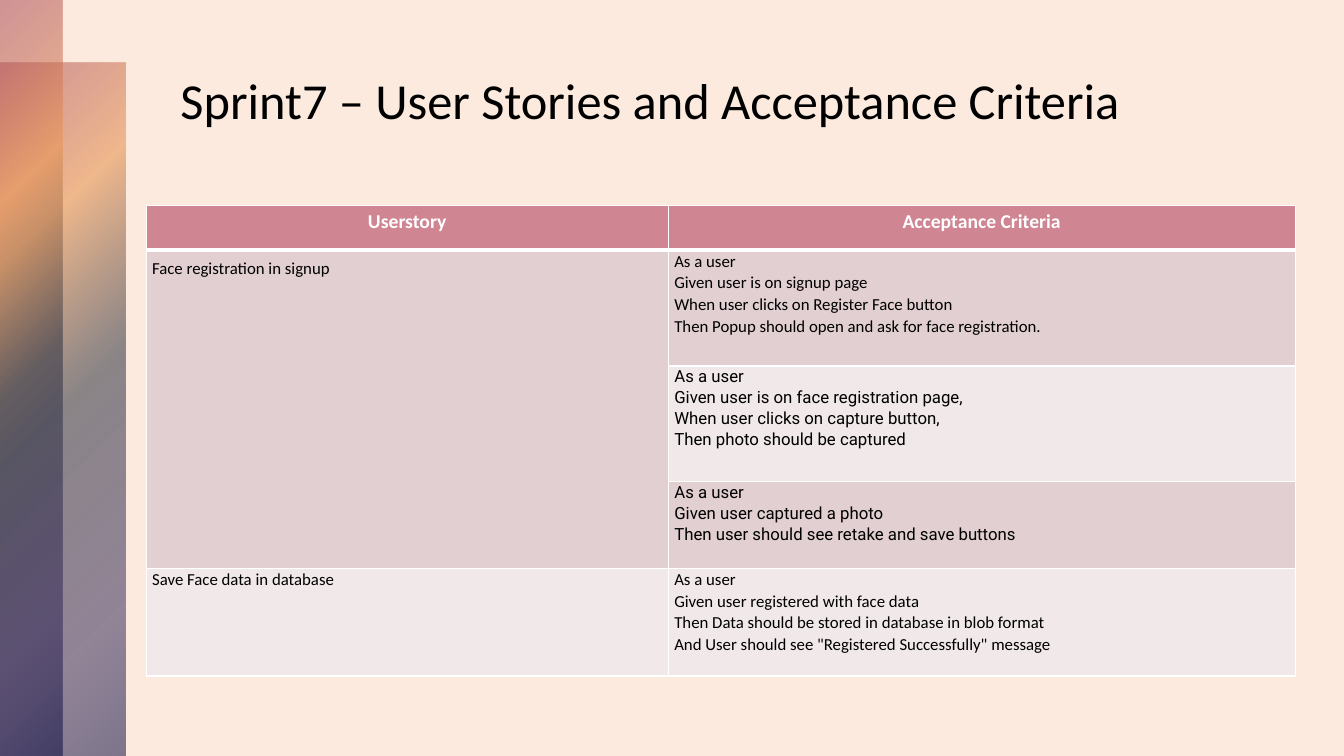
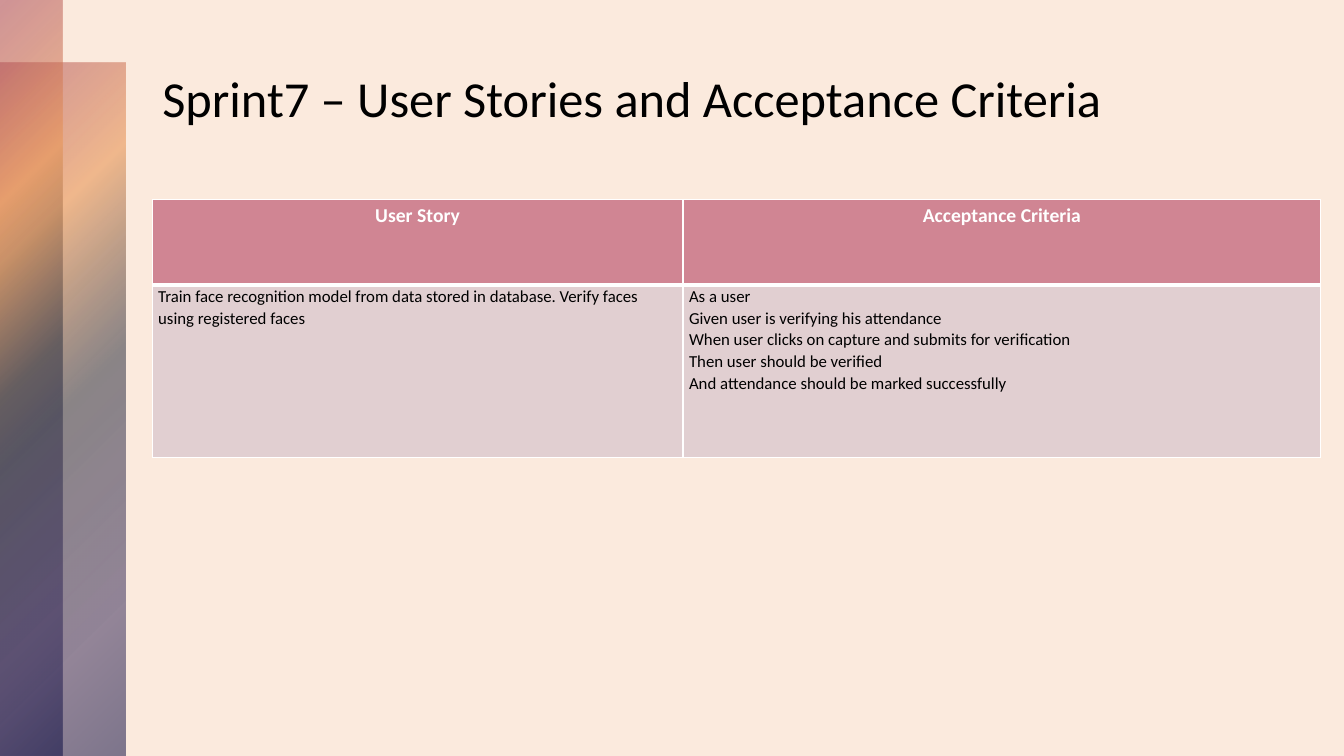
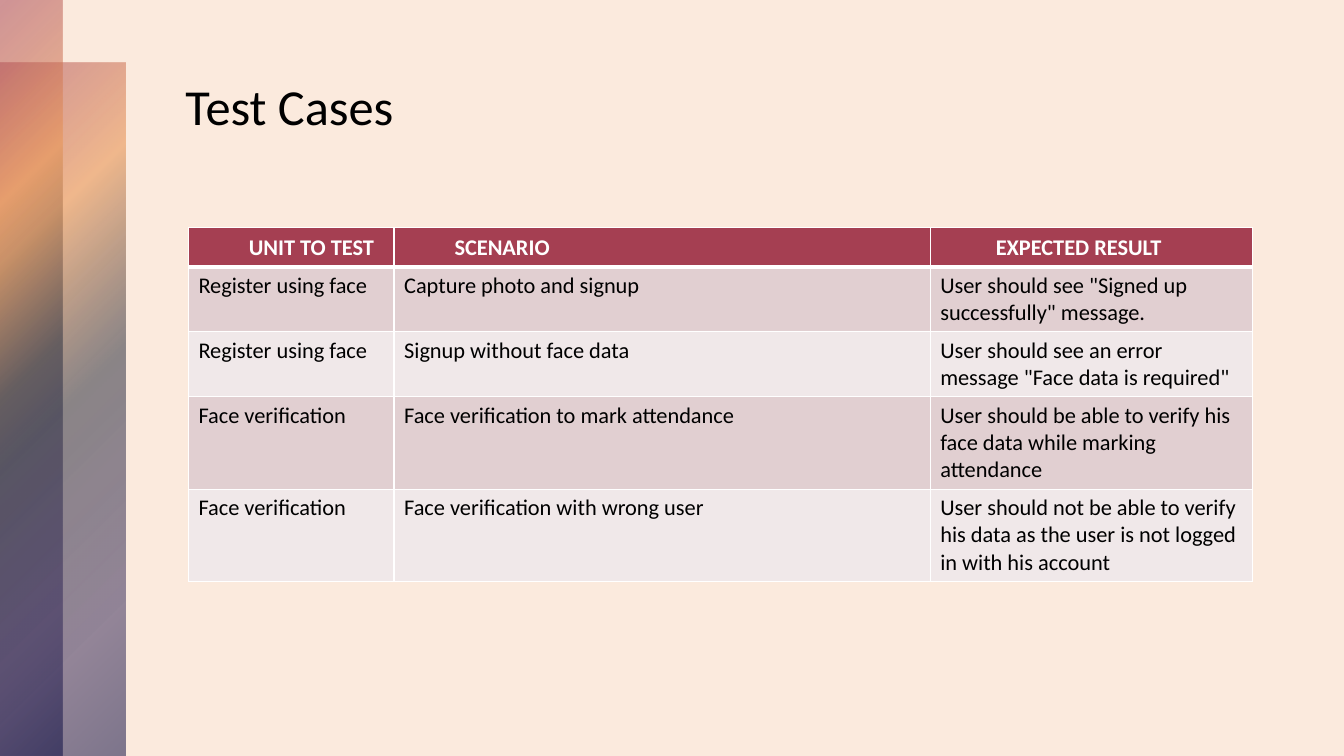
from pptx import Presentation
from pptx.dml.color import RGBColor
from pptx.enum.shapes import MSO_SHAPE as Preset
from pptx.enum.text import MSO_ANCHOR as Anchor, MSO_AUTO_SIZE as AutoSize, PP_ALIGN as Align
from pptx.oxml import parse_xml
from pptx.oxml.ns import nsdecls, qn
from pptx.util import Pt

PEACH = RGBColor(0xFB, 0xEA, 0xDD)
WINE = RGBColor(0xA5, 0x3F, 0x52)
ORANGE = RGBColor(0xE9, 0x97, 0x57)
SLATE = RGBColor(0x2F, 0x33, 0x42)
PURPLE = RGBColor(0x2C, 0x21, 0x53)
NAVY = RGBColor(0x01, 0x02, 0x3B)
ROSE = RGBColor(0xD0, 0x85, 0x93)
DARK_ROW = RGBColor(0xE1, 0xCF, 0xD1)
LIGHT_ROW = RGBColor(0xF0, 0xE8, 0xE9)
WHITE = RGBColor(0xFF, 0xFF, 0xFF)
BLACK = RGBColor(0x00, 0x00, 0x00)

STORY_HEADER = {"size": 14, "bold": True, "color": WHITE, "fill": ROSE,
                "margins": (5.8, 2.9), "paragraph": {"alignment": Align.CENTER}}
STORY_BODY = {"size": 12, "bold": False, "color": BLACK,
              "margins": (4.3, 0), "paragraph": {"line_spacing": 1.06}}
TEST_HEADER = {"size": 16, "bold": True, "color": WHITE, "fill": WINE,
               "margins": (7.2, 3.6), "paragraph": {"line_spacing": 1.06}}
TEST_BODY = {"size": 16, "bold": False, "color": BLACK,
             "margins": (7.2, 3.6), "paragraph": {}}

SPRINT_TITLE = "Sprint7 – User Stories and Acceptance Criteria"


def set_all(target, values):
    for name, value in values.items():
        setattr(target, name, value)


class Deck:
    font = "Calibri"

    def __init__(self):
        self.presentation = Presentation()
        set_all(self.presentation, {"slide_width": Pt(960), "slide_height": Pt(540)})
        background = self.presentation.slide_master.background.fill
        background.solid()
        background.fore_color.rgb = PEACH
        self.layout = self.presentation.slide_layouts[5]
        self.slide = None

    def add_slide(self):
        first = self.slide is None
        self.slide = self.presentation.slides.add_slide(self.layout)
        if first:
            bands = [self.band(44.8, 89.3, 50), self.band(0, 44.8, 49)]
            for position, band in enumerate(bands, 2):
                self.layout.shapes.element.insert(position, band.element)

    def band(self, top, width, middle):
        shape = self.slide.shapes.add_shape(Preset.RECTANGLE, 0, Pt(top), Pt(width), Pt(540 - top))
        shape.shadow.inherit = False
        shape.line.fill.background()
        shape.fill.background()
        stops = [(0, WINE, 50), (25, ORANGE, 60), (middle, SLATE, 55),
                 (81, PURPLE, 50), (99, NAVY, 50)]
        stop_xml = "".join(
            f'<a:gs pos="{position * 1000}"><a:srgbClr val="{color}">'
            f'<a:alpha val="{opacity * 1000}"/></a:srgbClr></a:gs>'
            for position, color, opacity in stops)
        gradient = parse_xml(
            f'<a:gradFill {nsdecls("a")} rotWithShape="1"><a:gsLst>{stop_xml}</a:gsLst>'
            '<a:path path="circle"><a:fillToRect r="100000" b="100000"/></a:path></a:gradFill>')
        properties = shape.element.spPr
        properties.replace(properties.find(qn("a:noFill")), gradient)
        return shape

    def format_font(self, font, size, color, bold=False):
        set_all(font, {"name": self.font, "size": Pt(size), "bold": bold})
        font.color.rgb = color

    def title(self, text, left, top, width, height, anchor=Anchor.BOTTOM, **spacing):
        shape = self.slide.shapes.title
        set_all(shape, {"left": Pt(left), "top": Pt(top), "width": Pt(width), "height": Pt(height)})
        frame = shape.text_frame
        frame.text = text
        set_all(frame, {"auto_size": AutoSize.NONE, "word_wrap": True, "vertical_anchor": anchor})
        paragraph = frame.paragraphs[0]
        set_all(paragraph, {"alignment": Align.LEFT, **spacing})
        self.format_font(paragraph.font, 36, BLACK)

    def table(self, left, top, columns, heights, rows, header, body):
        frame = self.slide.shapes.add_table(
            len(rows), len(columns), Pt(left), Pt(top), Pt(sum(columns)), Pt(sum(heights)))
        table = frame.table
        table.horz_banding = False
        for column, width in zip(table.columns, columns):
            column.width = Pt(width)
        for row, height in zip(table.rows, heights):
            row.height = Pt(height)
        for row_index, texts in enumerate(rows):
            style = body if row_index else header
            fill = (LIGHT_ROW, DARK_ROW)[row_index % 2] if row_index else header["fill"]
            for column_index, text in enumerate(texts):
                self.fill_cell(table.cell(row_index, column_index), text, style, fill)
        self.add_borders(frame)
        return table

    def fill_cell(self, cell, text, style, fill):
        side, edge = map(Pt, style["margins"])
        set_all(cell, {"margin_left": side, "margin_right": side,
                       "margin_top": edge, "margin_bottom": edge})
        cell.fill.solid()
        cell.fill.fore_color.rgb = fill
        cell.text_frame.text = text
        for paragraph in cell.text_frame.paragraphs:
            set_all(paragraph, style["paragraph"])
            self.format_font(paragraph.font, style["size"], style["color"], style["bold"])
            for run in paragraph.runs:
                self.format_font(run.font, style["size"], style["color"], style["bold"])

    def add_borders(self, frame):
        for row_index, row in enumerate(frame.element.iter(qn("a:tr"))):
            widths = {"lnL": 1, "lnR": 1, "lnT": 3 if row_index == 1 else 1,
                      "lnB": 1 if row_index else 3}
            for properties in row.iter(qn("a:tcPr")):
                for position, (edge, width) in enumerate(widths.items()):
                    properties.insert(position, parse_xml(
                        f'<a:{edge} {nsdecls("a")} w="{Pt(width)}"><a:solidFill>'
                        f'<a:srgbClr val="{WHITE}"/></a:solidFill></a:{edge}>'))


def face_registration(deck):
    deck.add_slide()
    deck.title(SPRINT_TITLE, 121.7, 45.4, 692.6, 51, Anchor.TOP)
    rows = [
        ("Userstory", "Acceptance Criteria"),
        ("Face registration in signup",
         "As a user\nGiven user is on signup page\n"
         "When user clicks on Register Face button\n"
         "Then Popup should open and ask for face registration."),
        ("", "As a user\nGiven user is on face registration page,\n"
             "When user clicks on capture button,\nThen photo should be captured"),
        ("", "As a user\nGiven user captured a photo\n"
             "Then user should see retake and save buttons"),
        ("Save Face data in database",
         "As a user\nGiven user registered with face data\n"
         "Then Data should be stored in database in blob format\n"
         "And User should see \"Registered Successfully\" message"),
    ]
    table = deck.table(104.4, 146.9, (373, 447.8), (31.7, 82.8, 82.8, 61.9, 76.8),
                       rows, STORY_HEADER, STORY_BODY)
    story = table.cell(1, 0)
    story.merge(table.cell(3, 0))
    story.text_frame.paragraphs[0].line_spacing = Pt(21)
    for row_index in (2, 3):
        for paragraph in table.cell(row_index, 1).text_frame.paragraphs:
            for run in paragraph.runs:
                run.font.name = "Roboto"


def face_verification(deck):
    deck.add_slide()
    deck.title(SPRINT_TITLE, 108.7, 41, 745.2, 54)
    rows = [
        ("User Story", "Acceptance Criteria"),
        ("Train face recognition model from data stored in database. "
         "Verify faces using registered faces",
         "As a user\nGiven user is verifying his attendance\n"
         "When user clicks on capture and submits for verification\n"
         "Then user should be verified\nAnd attendance should be marked successfully"),
    ]
    deck.table(108.7, 142.6, (379.2, 455.6), (61.2, 123.1), rows, STORY_HEADER, STORY_BODY)


def test_cases(deck):
    deck.add_slide()
    deck.title("Test Cases", 125.3, 62.6, 193.7, 38.2, line_spacing=0.9, space_after=Pt(6))
    rows = [
        ("UNIT TO TEST", "SCENARIO", "EXPECTED RESULT"),
        ("Register using face", "Capture photo and signup",
         "User should see \"Signed up successfully\" message."),
        ("Register using face", "Signup without face data",
         "User should see an error message \"Face data is required\""),
        ("Face verification", "Face verification to mark attendance",
         "User should be able to verify his face data while marking attendance"),
        ("Face verification", "Face verification with wrong user",
         "User should not be able to verify his data as the user is not logged in with his account"),
    ]
    table = deck.table(134.6, 162.7, (146.9, 383, 230.4), (27, 46.4, 46.4, 66, 66),
                       rows, TEST_HEADER, TEST_BODY)
    for column_index, indent in enumerate((36, 36, 39.6)):
        paragraph = table.cell(0, column_index).text_frame.paragraphs[0]
        paragraph._p.get_or_add_pPr().set("indent", str(Pt(indent)))


def main():
    deck = Deck()
    for build in (face_registration, face_verification, test_cases):
        build(deck)
    deck.presentation.save("out.pptx")


if __name__ == "__main__":
    main()
